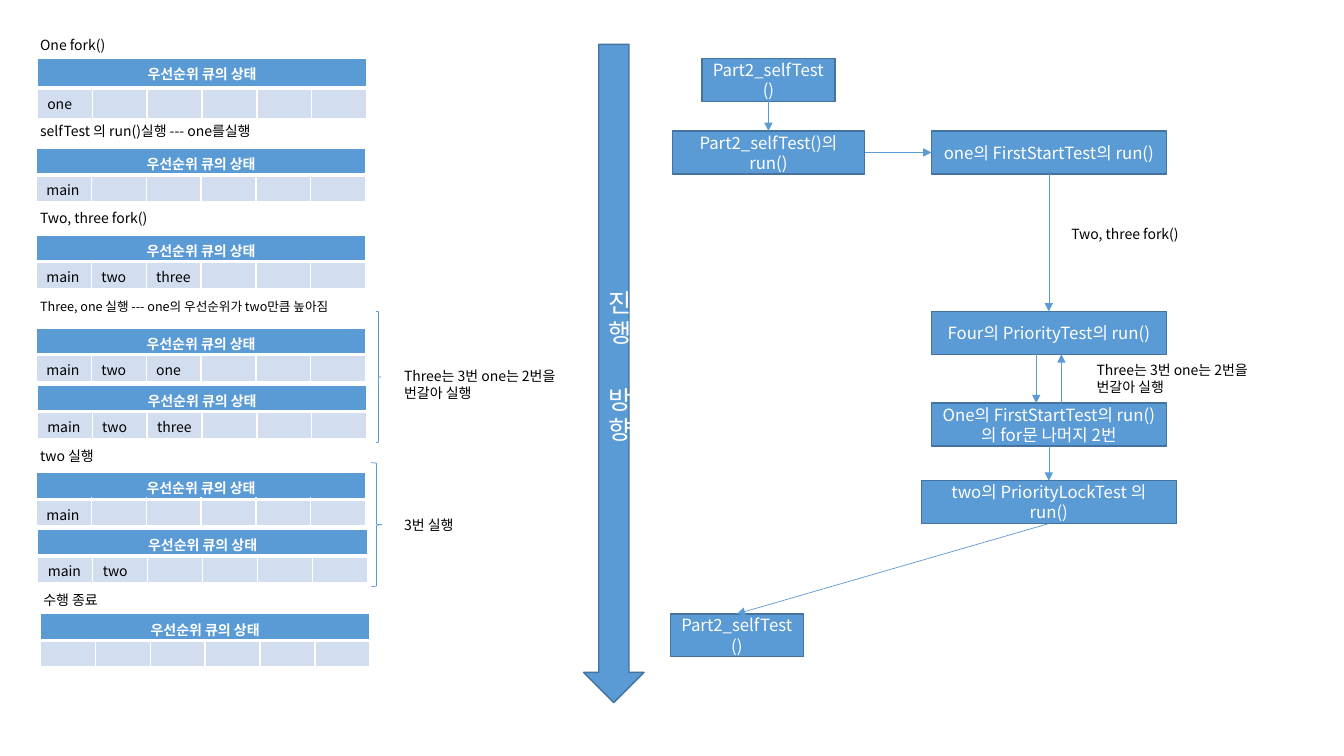
from lxml import etree
from pptx import Presentation
from pptx.dml.color import RGBColor
from pptx.enum.shapes import MSO_CONNECTOR, MSO_SHAPE
from pptx.enum.text import MSO_ANCHOR, PP_ALIGN
from pptx.oxml.ns import qn
from pptx.util import Pt

RECTANGLE, DOWN_ARROW = MSO_SHAPE.RECTANGLE, MSO_SHAPE.DOWN_ARROW
RIGHT_BRACE = MSO_SHAPE.RIGHT_BRACE
STRAIGHT = MSO_CONNECTOR.STRAIGHT
CENTER, LEFT = PP_ALIGN.CENTER, PP_ALIGN.LEFT
MIDDLE = MSO_ANCHOR.MIDDLE
TOP_SIDE, LEFT_SIDE, BOTTOM_SIDE, RIGHT_SIDE = range(4)

FONT = "Noto Sans CJK KR"
BLUE, DARK_BLUE, PALE_BLUE = "5B9BD5", "43739E", "D2DEEF"
WHITE, BLACK = "FFFFFF", "000000"
COLUMNS, COLUMN_WIDTH = 6, 39.24
TURNS = "Three는 3번 one는 2번을 번갈아 실행"


def color(value):
    return RGBColor.from_string(value)


def write(paragraph, text, size, text_color, align=LEFT, bold=False):
    """Fill one paragraph; the font also covers Hangul and empty cells."""
    paragraph.text = text
    paragraph.alignment = align
    font = paragraph.font
    font.name, font.size, font.bold = FONT, Pt(size), bold
    font.color.rgb = color(text_color)
    defaults = paragraph._p.pPr.find(qn("a:defRPr"))
    etree.SubElement(defaults, qn("a:ea"), typeface=FONT)
    if not text:
        etree.SubElement(paragraph._p, qn("a:endParaRPr"), sz=str(size * 100))


def add_label(slide, left, top, width, height, text, size=10):
    frame = slide.shapes.add_textbox(Pt(left), Pt(top), Pt(width), Pt(height)).text_frame
    frame.word_wrap = True
    write(frame.paragraphs[0], text, size, BLACK)


def add_block(slide, kind, left, top, width, height, lines, size):
    shape = slide.shapes.add_shape(kind, Pt(left), Pt(top), Pt(width), Pt(height))
    shape.shadow.inherit = False
    shape.fill.solid()
    shape.fill.fore_color.rgb = color(BLUE)
    shape.line.color.rgb = color(DARK_BLUE)
    shape.line.width = Pt(1)
    frame = shape.text_frame
    frame.word_wrap = True
    frame.vertical_anchor = MIDDLE
    for index, line in enumerate(lines):
        paragraph = frame.add_paragraph() if index else frame.paragraphs[0]
        write(paragraph, line, size, WHITE, CENTER)
    return shape


def add_brace(slide, left, top, width, height):
    brace = slide.shapes.add_shape(RIGHT_BRACE, Pt(left), Pt(top), Pt(width), Pt(height))
    brace.shadow.inherit = False
    brace.fill.background()
    brace.line.color.rgb = color(BLUE)
    brace.line.width = Pt(0.5)


def add_arrow(slide, x1=0, y1=0, x2=0, y2=0):
    arrow = slide.shapes.add_connector(STRAIGHT, Pt(x1), Pt(y1), Pt(x2), Pt(y2))
    arrow.line.color.rgb = color(BLUE)
    arrow.line.width = Pt(0.5)
    etree.SubElement(arrow.line._get_or_add_ln(), qn("a:tailEnd"), type="triangle")
    etree.SubElement(arrow._element.spPr, qn("a:effectLst"))
    return arrow


def format_cell(cell, fill, heavy_side, bottom_margin):
    cell.fill.solid()
    cell.fill.fore_color.rgb = color(fill)
    cell.margin_top, cell.margin_bottom = Pt(3.6), Pt(bottom_margin)
    properties = cell._tc.get_or_add_tcPr()
    for index, side in enumerate(("lnL", "lnR", "lnT", "lnB")):
        width = Pt(3 if side == heavy_side else 1)
        border = etree.Element(qn(f"a:{side}"), w=str(int(width)))
        solid = etree.SubElement(border, qn("a:solidFill"))
        etree.SubElement(solid, qn("a:srgbClr"), val=WHITE)
        properties.insert(index, border)


def add_queue(slide, left, top, names, row_height=19):
    """Header over six slots holding the queued thread names."""
    table = slide.shapes.add_table(2, COLUMNS, Pt(left), Pt(top),
                                   Pt(COLUMNS * COLUMN_WIDTH), Pt(2 * row_height)).table
    for column in table.columns:
        column.width = Pt(COLUMN_WIDTH)
    for row in table.rows:
        row.height = Pt(row_height)
    bottom_margin = row_height - 18.1
    for index in range(COLUMNS):
        header, slot = table.cell(0, index), table.cell(1, index)
        format_cell(header, BLUE, "lnB", bottom_margin)
        format_cell(slot, PALE_BLUE, "lnT", bottom_margin)
        name = names[index] if index < len(names) else ""
        write(slot.text_frame.paragraphs[0], name, 10, BLACK)
    title = table.cell(0, 0)
    title.merge(table.cell(0, COLUMNS - 1))
    write(title.text_frame.paragraphs[0], "우선순위 큐의 상태", 10, WHITE, CENTER, True)


def queue_panel(slide, left, top):
    # Step captions
    captions = [
        (0, 0, 176, "One fork()", 10),
        (0, 62, 202, "selfTest 의 run()실행 --- one를실행", 10),
        (0, 124, 176, "Two, three fork()", 10),
        (0, 188, 260, "Three, one 실행 --- one의 우선순위가 two만큼 높아짐", 9),
        (0, 294, 176, "two 실행", 10),
        (2.2, 396.7, 176, "수행 종료", 10),
    ]
    for x, y, width, text, size in captions:
        add_label(slide, left + x, top + y, width, 19.4, text, size)

    # Queue states
    add_queue(slide, left + 5, top + 19.5, ["one"], 21.3)
    queues = [
        (4.3, 83.5, ["main"]),
        (4.3, 145.5, ["main", "two", "three"]),
        (4.3, 212, ["main", "two", "one"]),
        (5, 252.7, ["main", "two", "three"]),
        (4.3, 315.4, ["main"]),
        (5.4, 355.7, ["main", "two"]),
        (7.2, 416.2, []),
    ]
    for x, y, names in queues:
        add_queue(slide, left + x, top + y, names)

    # Repeated steps
    add_brace(slide, left + 247, top + 200.2, 3.6, 93.6)
    add_label(slide, left + 260, top + 237, 135.4, 31.7, TURNS)
    add_brace(slide, left + 243.4, top + 308.2, 7.9, 88.6)
    add_label(slide, left + 260, top + 342.8, 92, 19.4, "3번 실행")


def direction_arrow(slide, left, top, width, height):
    arrow = add_block(slide, DOWN_ARROW, left, top, width, height,
                      ["진", "행", "방", "향"], 18)
    arrow.text_frame.paragraphs[2].space_before = Pt(26)


def flow_panel(slide, left, top):
    # Steps
    steps = {
        "start": (22.6, 0, 95, "Part2_selfTest()"),
        "self": (1.4, 51.8, 137.4, "Part2_selfTest()의 run()"),
        "one": (186.5, 51.8, 167.8, "one의 FirstStartTest의 run()"),
        "four": (186.5, 180.7, 167.8, "Four의 PriorityTest의 run()"),
        "rest": (186.5, 246.2, 167.8, "One의 FirstStartTest의 run()의 for문 나머지 2번"),
        "two": (179.3, 301.6, 182.2, "two의 PriorityLockTest 의 run()"),
        "end": (0, 396.7, 95, "Part2_selfTest()"),
    }
    boxes = {
        key: add_block(slide, RECTANGLE, left + x, top + y, width, 30.6, [text], 12)
        for key, (x, y, width, text) in steps.items()
    }

    # Arrows joined to the steps
    links = [
        ("start", BOTTOM_SIDE, "self", TOP_SIDE),
        ("self", RIGHT_SIDE, "one", LEFT_SIDE),
        ("one", BOTTOM_SIDE, "four", TOP_SIDE),
        ("rest", BOTTOM_SIDE, "two", TOP_SIDE),
        ("two", BOTTOM_SIDE, "end", TOP_SIDE),
    ]
    for source, source_side, target, target_side in links:
        arrow = add_arrow(slide)
        arrow.begin_connect(boxes[source], source_side)
        arrow.end_connect(boxes[target], target_side)

    # Back and forth between two steps
    upper, lower = top + 211.3, top + 246.2
    add_arrow(slide, left + 261.4, upper, left + 261.4, lower)
    add_arrow(slide, left + 279.4, lower, left + 279.4, upper)

    # Notes beside the arrows
    add_label(slide, left + 279.4, top + 115.9, 135.4, 19.4, "Two, three fork()")
    add_label(slide, left + 297.4, top + 213.1, 135.4, 31.7, TURNS)


def main():
    presentation = Presentation()
    presentation.slide_width, presentation.slide_height = Pt(960), Pt(540)
    slide = presentation.slides.add_slide(presentation.slide_layouts[6])
    queue_panel(slide, 21.6, 22.3)
    direction_arrow(slide, 416.9, 31.7, 43.2, 470.2)
    flow_panel(slide, 478.8, 41.8)
    presentation.save("out.pptx")


if __name__ == "__main__":
    main()
